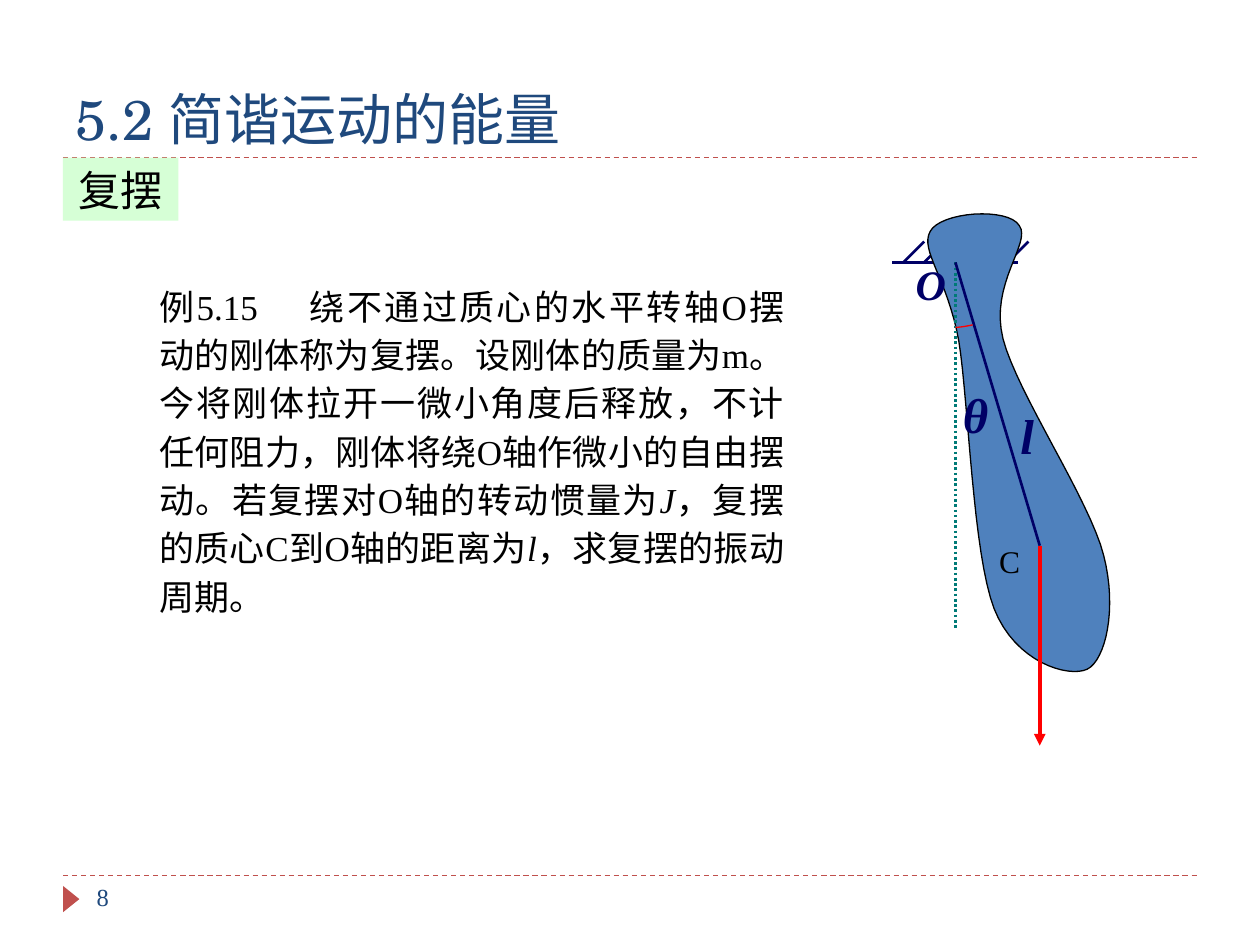
"""Build the compound pendulum slide of a lecture on harmonic motion."""
from dataclasses import dataclass

from lxml.etree import SubElement
from pptx import Presentation
from pptx.dml.color import RGBColor
from pptx.enum.dml import MSO_LINE
from pptx.enum.shapes import MSO_CONNECTOR, MSO_SHAPE
from pptx.enum.text import MSO_ANCHOR, PP_ALIGN
from pptx.oxml.ns import qn
from pptx.util import Cm, Pt


@dataclass(frozen=True)
class Theme:
    title_color: str = "1F497D"
    accent: str = "C0504D"
    tag_fill: str = "CCFFCC"
    text: str = "000000"
    navy: str = "000066"
    teal: str = "007A77"
    red: str = "FF0000"
    blue: str = "4F81BD"
    serif: str = "Times New Roman"
    sans: str = "Arial"
    title_font: str = "TeX Gyre Schola"
    title_size: int = 32
    symbol_size: int = 28
    heading_size: int = 24
    body_size: int = 20
    point_size: int = 18
    page_size: int = 14


THEME = Theme()
LEFT, RIGHT = 1.27, 24.13
PIVOT = (19.26, 5.29)
CENTROID = (20.96, 11)
RIGID_BODY = [
    (19.33, 6.88),
    (19.1, 5.61), (18.54, 5.05), (18.75, 4.67),
    (18.95, 4.27), (20.32, 4.17), (20.55, 4.55),
    (20.8, 4.9), (19.94, 5.72), (20.22, 6.83),
    (20.5, 7.92), (21.97, 10.08), (22.25, 11.2),
    (22.53, 12.29), (22.28, 13.31), (21.92, 13.49),
    (21.54, 13.67), (20.47, 13.36), (20.04, 12.27),
    (19.61, 11.15), (19.53, 8.15), (19.33, 6.88),
]
ANGLE_ARC = [(19.26, 6.6), (19.39, 6.6), (19.61, 6.55), (19.61, 6.55)]
PROBLEM = [
    ("例5.15\t绕不通过质心的水平转轴O摆动的刚体称为复摆。设刚体的质量为m。"
     "今将刚体拉开一微小角度后释放，不计任何阻力，刚体将绕O轴作微小的自由摆动。"
     "若复摆对O轴的转动惯量为", False),
    ("J", True),
    ("，复摆的质心C到O轴的距离为", False),
    ("l", True),
    ("，求复摆的振动周期。", False),
]


def rgb(color):
    return RGBColor.from_string(color)


def style_font(font, size, color, name=THEME.serif, bold=False, italic=False):
    font.size, font.name = Pt(size), name
    font.bold, font.italic = bold, italic
    font.color.rgb = rgb(color)


def add_text(slide, box, text, size, color, name=THEME.serif, symbol=False,
             wrap=True, anchor=MSO_ANCHOR.TOP):
    sp = slide.shapes.add_textbox(*map(Cm, box))
    tf = sp.text_frame
    tf.word_wrap, tf.vertical_anchor = wrap, anchor
    p = tf.paragraphs[0]
    p.text = text
    style_font(p.runs[0].font, size, color, name, symbol, symbol)


def add_problem(slide, box):
    tf = slide.shapes.add_textbox(*map(Cm, box)).text_frame
    tf.word_wrap = True
    p = tf.paragraphs[0]
    p.alignment, p.line_spacing = PP_ALIGN.JUSTIFY, 1.15
    tabs = SubElement(p._p.get_or_add_pPr(), qn("a:tabLst"))
    SubElement(tabs, qn("a:tab"), pos=str(Cm(2.94)), algn="l")
    for text, italic in PROBLEM:
        r = p.add_run()
        r.text = text
        style_font(r.font, THEME.body_size, THEME.text, italic=italic)


def add_line(slide, start, end, color, width, dash=None, arrow=False):
    line = slide.shapes.add_connector(
        MSO_CONNECTOR.STRAIGHT, *map(Cm, (*start, *end)))
    line.line.color.rgb, line.line.width = rgb(color), Pt(width)
    if dash:
        line.line.dash_style = dash
    if arrow:
        SubElement(line.line._get_or_add_ln(), qn("a:tailEnd"), type="triangle")
    SubElement(line._element.spPr, qn("a:effectLst"))


def add_preset(slide, kind, box, fill):
    sp = slide.shapes.add_shape(kind, *map(Cm, box))
    sp.shadow.inherit = False
    sp.fill.solid()
    sp.fill.fore_color.rgb = rgb(fill)
    sp.line.fill.background()
    return sp


def add_tag(slide, box, text):
    sp = add_preset(slide, MSO_SHAPE.RECTANGLE, box, THEME.tag_fill)
    color = sp._element.spPr.find(f"{qn('a:solidFill')}/{qn('a:srgbClr')}")
    SubElement(color, qn("a:alpha"), val="80000")
    tf = sp.text_frame
    tf.word_wrap, tf.vertical_anchor = False, MSO_ANCHOR.MIDDLE
    p = tf.paragraphs[0]
    p.text, p.alignment = text, PP_ALIGN.CENTER
    style_font(p.runs[0].font, THEME.heading_size, THEME.text, THEME.sans)


def bezier_points(nodes, steps=16):
    """Sample a chain of cubic curves given as a start and triples of nodes."""
    points = [nodes[0]]
    for i in range(0, len(nodes) - 1, 3):
        a, b, c, d = nodes[i:i + 4]
        for t in (k / steps for k in range(1, steps + 1)):
            u = 1 - t
            weights = (u ** 3, 3 * u * u * t, 3 * u * t * t, t ** 3)
            points.append(tuple(sum(w * n[axis] for w, n in zip(weights, (a, b, c, d)))
                                for axis in (0, 1)))
    return points


def add_curve(slide, nodes, color, fill=None):
    points = [(Cm(x), Cm(y)) for x, y in bezier_points(nodes)]
    builder = slide.shapes.build_freeform(*points[0])
    builder.add_line_segments(points[1:], close=fill is not None)
    sp = builder.convert_to_shape()
    sp.shadow.inherit = False
    sp.line.color.rgb, sp.line.width = rgb(color), Pt(0.75)
    if fill:
        sp.fill.solid()
        sp.fill.fore_color.rgb = rgb(fill)
    else:
        sp.fill.background()


def add_support(slide):
    x, y = PIVOT
    add_line(slide, (x - 1.27, y), (x + 1.27, y), THEME.navy, 1.5)
    for i in range(6):
        foot = x - 1.05 + i * 0.42
        add_line(slide, (foot + 0.42, y - 0.42), (foot, y), THEME.navy, 1.5)


def add_pendulum(slide):
    add_support(slide)
    add_curve(slide, RIGID_BODY, THEME.text, THEME.blue)
    add_line(slide, PIVOT, (PIVOT[0], 12.7), THEME.teal, 1.5, MSO_LINE.ROUND_DOT)
    add_line(slide, PIVOT, CENTROID, THEME.navy, 1.5)
    add_text(slide, (18.21, 5.08, 1.12, 1.27), "O", THEME.heading_size,
             THEME.navy, symbol=True, wrap=False)
    add_text(slide, (20.32, 8.05, 0.79, 1.45), "l", THEME.symbol_size,
             THEME.navy, symbol=True, wrap=False)
    add_curve(slide, ANGLE_ARC, THEME.red)
    add_text(slide, (19.16, 7.62, 1.49, 1.45), "θ", THEME.symbol_size,
             THEME.navy, symbol=True)
    add_line(slide, CENTROID, (CENTROID[0], 15.03), THEME.red, 2.25, arrow=True)
    add_text(slide, (19.89, 10.8, 0.94, 1.02), "C", THEME.point_size,
             THEME.text, wrap=False)


def add_frame(slide):
    for y in (17.65, 3.18):
        add_line(slide, (LEFT, y), (RIGHT, y), THEME.accent, 0.75, MSO_LINE.DASH)
    marker = add_preset(slide, MSO_SHAPE.ISOSCELES_TRIANGLE,
                        (1.17, 17.96, 0.53, 0.33), THEME.accent)
    marker.rotation = 90
    add_text(slide, (1.7, 17.65, 5.5, 1.02), "8", THEME.page_size, THEME.title_color)
    add_text(slide, (LEFT, 0.64, RIGHT - LEFT, 2.54), "5.2 简谐运动的能量",
             THEME.title_size, THEME.title_color, THEME.title_font,
             anchor=MSO_ANCHOR.BOTTOM)


def main():
    prs = Presentation()
    prs.slide_width, prs.slide_height = Cm(25.4), Cm(19.05)
    slide = prs.slides.add_slide(prs.slide_layouts[6])
    add_frame(slide)
    add_tag(slide, (LEFT, 3.18, 2.33, 1.27), "复摆")
    add_problem(slide, (2.96, 5.5, 13.1, 6.15))
    add_pendulum(slide)
    prs.save("out.pptx")


if __name__ == "__main__":
    main()
